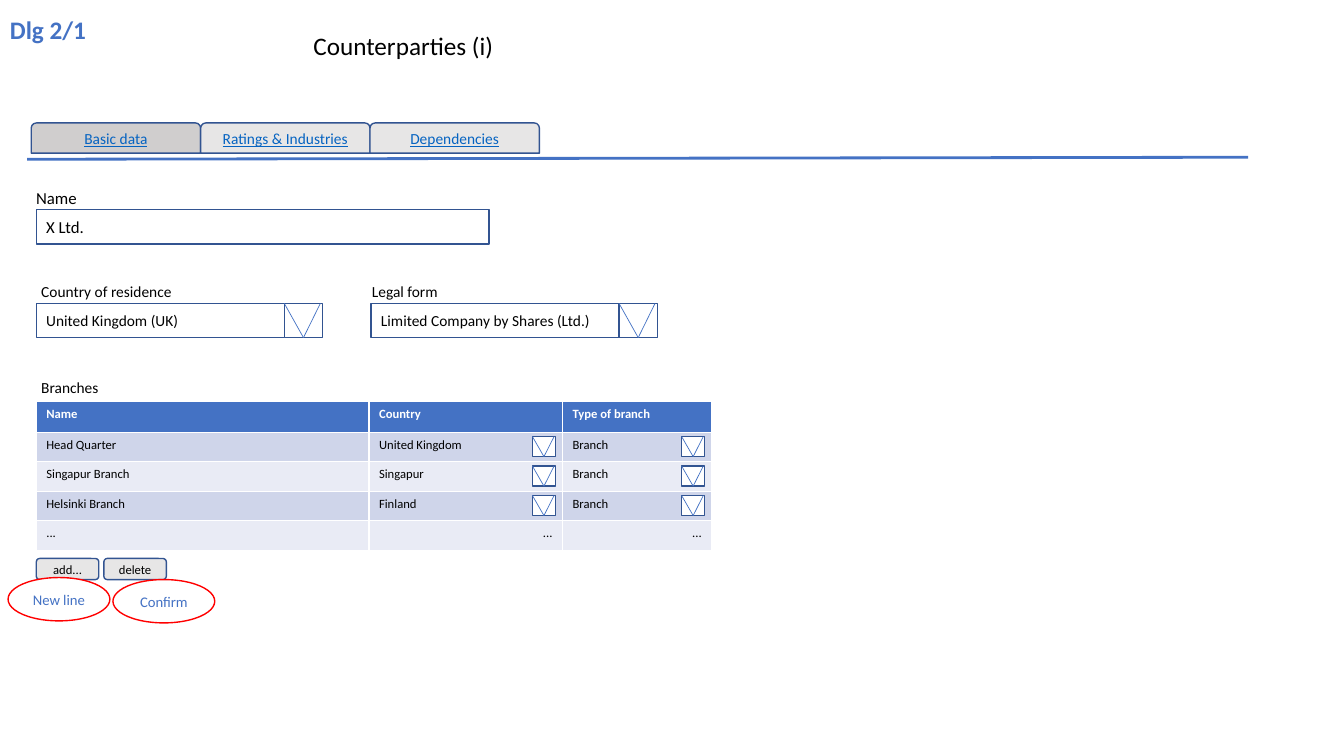
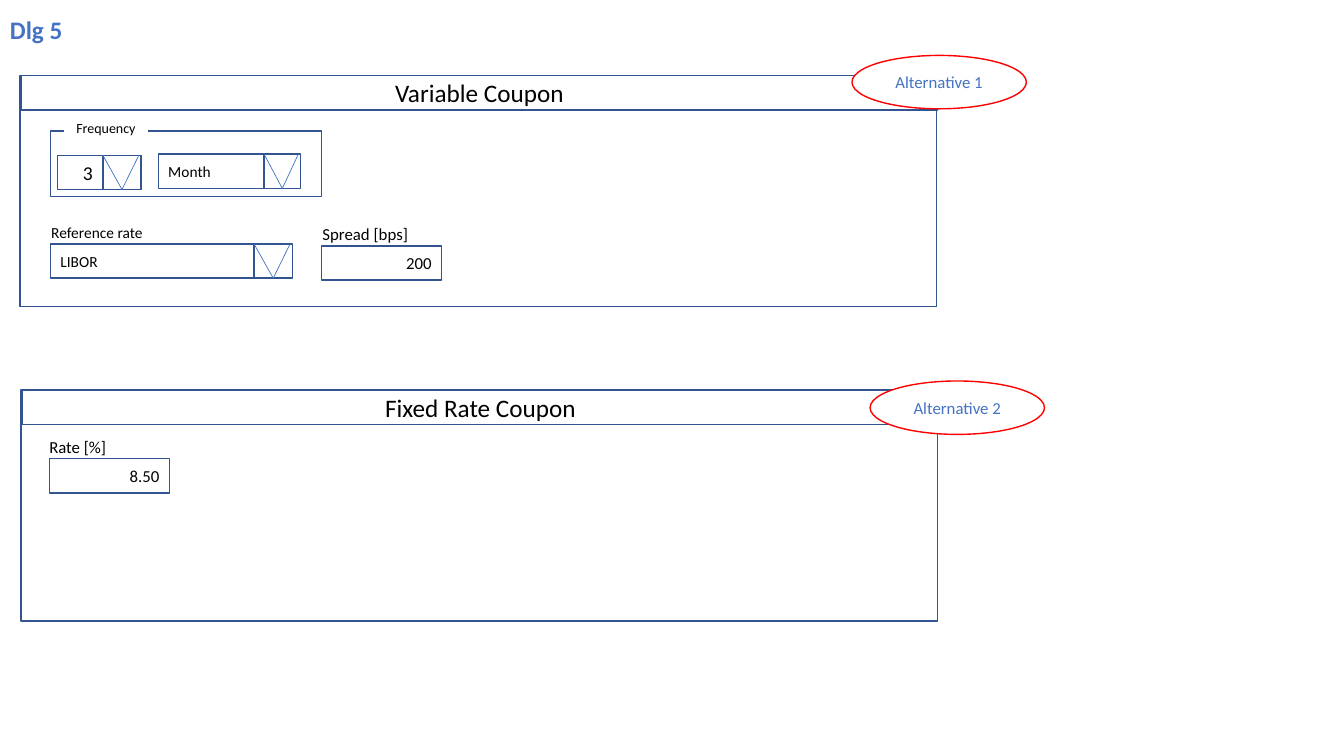
from pptx import Presentation
from pptx import util as u
from pptx.dml.color import RGBColor
from pptx.enum import shapes, text
from pptx.oxml.ns import qn
from lxml import etree

# Shared look
WHITE, BLACK = RGBColor(255, 255, 255), RGBColor(0, 0, 0)
BLUE, EDGE = RGBColor(0x44, 0x72, 0xC4), RGBColor(0x32, 0x54, 0x91)
LINK, RED = RGBColor(0x05, 0x63, 0xC1), RGBColor(255, 0, 0)
LIGHT, ACTIVE = RGBColor(0xE7, 0xE6, 0xE6), RGBColor(0xD0, 0xCE, 0xCE)
BANDS = RGBColor(0xCF, 0xD5, 0xEA), RGBColor(0xE9, 0xEB, 0xF5)
FONT, FIELD_H, ARROW_W = "Calibri", 0.34, 0.38
LEFT, CENTER, RIGHT = text.PP_ALIGN.LEFT, text.PP_ALIGN.CENTER, text.PP_ALIGN.RIGHT
SHAPE = shapes.MSO_SHAPE

# Content of slide 1: label = (text, x, y, width, size)
TITLE = ("Counterparties (i)", 3.01, 0.25, 2.01, 18)
TABS = ["Basic data", "Ratings & Industries", "Dependencies"]
MARGIN = 0.36
PARTY_LABELS = [("Name", 0.26, 1.81, 1.25, 12),
                ("Country of residence", 0.31, 2.75, 1.51, 11),
                ("Legal form", 3.59, 2.75, 0.86, 11),
                ("Branches", 0.31, 3.7, 0.78, 11)]
PARTY_LISTS = [("United Kingdom (UK)", MARGIN), ("Limited Company by Shares (Ltd.)", 3.68)]
BRANCHES = [("Name", "Country", "Type of branch"),
            ("Head Quarter", "United Kingdom", "Branch"),
            ("Singapur Branch", "Singapur", "Branch"),
            ("Helsinki Branch", "Finland", "Branch"),
            ("...", "...", "...")]
COLS, HEAD_H, ROW_H, TABLE_Y = (3.3, 1.92, 1.48), 0.31, 0.2925, 3.98
BUTTONS = ["add...", "delete"]
PARTY_NOTES = [("Confirm", 1.12, 5.75), ("New line", 0.08, 5.73)]

# Content of slide 2
PANELS = [("Variable Coupon", 0.2, 0.75), ("Fixed Rate Coupon", 0.21, 3.87)]
COUPON_LABELS = [("Reference rate", 0.41, 2.16, 1.13, 11),
                 ("Spread [bps]", 3.1, 2.17, 1.25, 12),
                 ("Rate [%]", 0.39, 4.28, 1.25, 12)]
# value, x, y, width, arrow width, size, alignment
COUPON_LISTS = [("LIBOR", 0.5, 2.42, 2.02, ARROW_W, 11, LEFT),
                ("3", 0.57, 1.54, 0.45, ARROW_W, 14, RIGHT),
                ("Month", 1.57, 1.53, 1.05, 0.36, 11, LEFT)]
AMOUNTS = [("200", 3.19, 2.44), ("8.50", 0.49, 4.55)]
COUPON_NOTES = [("Alternative 1", 8.45, 0.55), ("Alternative 2", 8.63, 3.78)]

prs = Presentation()
prs.slide_width, prs.slide_height = u.Inches(13.33), u.Inches(7.5)


def inches(*values):
    return [u.Inches(v) for v in values]


def write(tf, words, size, align=LEFT, color=BLACK, **form):
    p = tf.paragraphs[0]
    p.alignment = align
    r = p.add_run()
    r.text = words
    r.font.color.rgb = color
    for name, value in dict(name=FONT, size=u.Pt(size), **form).items():
        setattr(r.font, name, value)


def box(s, x, y, w, h, words="", size=11, align=LEFT, color=BLACK,
        kind=SHAPE.RECTANGLE, fill=WHITE, edge=EDGE, **form):
    sp = s.shapes.add_shape(kind, *inches(x, y, w, h))
    sp.shadow.inherit = False
    sp.fill.solid()
    sp.fill.fore_color.rgb = fill
    sp.line.color.rgb, sp.line.width = edge, u.Pt(1)
    if words:
        sp.text_frame.vertical_anchor = text.MSO_ANCHOR.MIDDLE
        write(sp.text_frame, words, size, align, color, **form)


def label(s, words, x, y, w, size, color=BLACK, **form):
    sp = s.shapes.add_textbox(*inches(x, y, w, size / 60 + 0.1))
    tf = sp.text_frame
    tf.word_wrap = size == 12
    tf.auto_size = text.MSO_AUTO_SIZE.SHAPE_TO_FIT_TEXT
    write(tf, words, size, color=color, **form)


def line(s, x1, y1, x2, y2, width):
    c = s.shapes.add_connector(shapes.MSO_CONNECTOR.STRAIGHT, *inches(x1, y1, x2, y2))
    c.line.color.rgb, c.line.width = BLUE, u.Pt(width)
    etree.SubElement(c._element.spPr, qn("a:effectLst"))


def arrow_box(s, x, y, w=ARROW_W, h=FIELD_H):
    box(s, x, y, w, h)
    for share in (0, 0.94):
        line(s, x + share * w, y, x + w / 2, y + h, 0.5)


def dropdown(s, words, x, y, w, arrow_w=ARROW_W, size=11, align=LEFT):
    box(s, x, y, w, FIELD_H, words, size, align)
    arrow_box(s, x + w, y, arrow_w)


def note(s, words, x, y, w, h, size):
    box(s, x, y, w, h, words, size, CENTER, BLUE, SHAPE.OVAL, edge=RED)


def dialog(name, width):
    s = prs.slides.add_slide(prs.slide_layouts[6])
    label(s, name, 0, 0.09, width, 18, BLUE, bold=True)
    return s


# Slide 1: counterparty form
s = dialog("Dlg 2/1", 0.96)
label(s, *TITLE)
tab_w = 1.68
for i, tab in enumerate(TABS):
    box(s, 0.31 + i * tab_w, 1.22, tab_w, 0.3, tab, 11, CENTER, LINK,
        SHAPE.ROUND_2_SAME_RECTANGLE, LIGHT if i else ACTIVE, underline=True)
line(s, 0.27, 1.58, 12.38, 1.56, 2)
for item in PARTY_LABELS:
    label(s, *item)
box(s, MARGIN, 2.08, 4.49, FIELD_H, "X Ltd.", 12)
for value, x in PARTY_LISTS:
    dropdown(s, value, x, 3.01, 2.46)

# Branch table, with a list arrow in each branch row
tbl = s.shapes.add_table(len(BRANCHES), len(COLS), *inches(
    MARGIN, TABLE_Y, sum(COLS), HEAD_H + ROW_H * (len(BRANCHES) - 1))).table
for col, w in zip(tbl.columns, COLS):
    col.width = u.Inches(w)
for i, row in enumerate(BRANCHES):
    tbl.rows[i].height = u.Inches(ROW_H if i else HEAD_H)
    for j, words in enumerate(row):
        cell = tbl.cell(i, j)
        cell.fill.solid()
        cell.fill.fore_color.rgb = BANDS[(i - 1) % 2] if i else BLUE
        write(cell.text_frame, words, 9, RIGHT if j and words == "..." else LEFT,
              BLACK if i else WHITE, bold=i == 0)
for j in (1, 2):
    for i in range(3):
        arrow_box(s, MARGIN + sum(COLS[:j + 1]) - 0.3,
                  TABLE_Y + HEAD_H + i * ROW_H + 0.04, 0.23, 0.2)

for i, words in enumerate(BUTTONS):
    box(s, MARGIN + i * 0.67, 5.54, 0.62, 0.21, words, 9, CENTER,
        kind=SHAPE.ROUNDED_RECTANGLE, fill=LIGHT)
for item in PARTY_NOTES:
    note(s, *item, 1.01, 0.43, 10.5)

# Slide 2: coupon alternatives
s = dialog("Dlg 5", 0.72)
for heading, x, y in PANELS:
    box(s, x, y, 9.09, 2.29)
    box(s, x + 0.01, y, 9.09, FIELD_H, heading, 18, CENTER)
box(s, 0.5, 1.3, 2.69, 0.65)
box(s, 0.64, 1.17, 0.82, 0.2, "Frequency", 10, CENTER, edge=WHITE)
for item in COUPON_LISTS:
    dropdown(s, *item)
for value, x, y in AMOUNTS:
    box(s, x, y, 1.19, FIELD_H, value, 12, RIGHT)
for item in COUPON_LABELS:
    label(s, *item)
for item in COUPON_NOTES:
    note(s, *item, 1.73, 0.53, 12)

prs.save("out.pptx")
